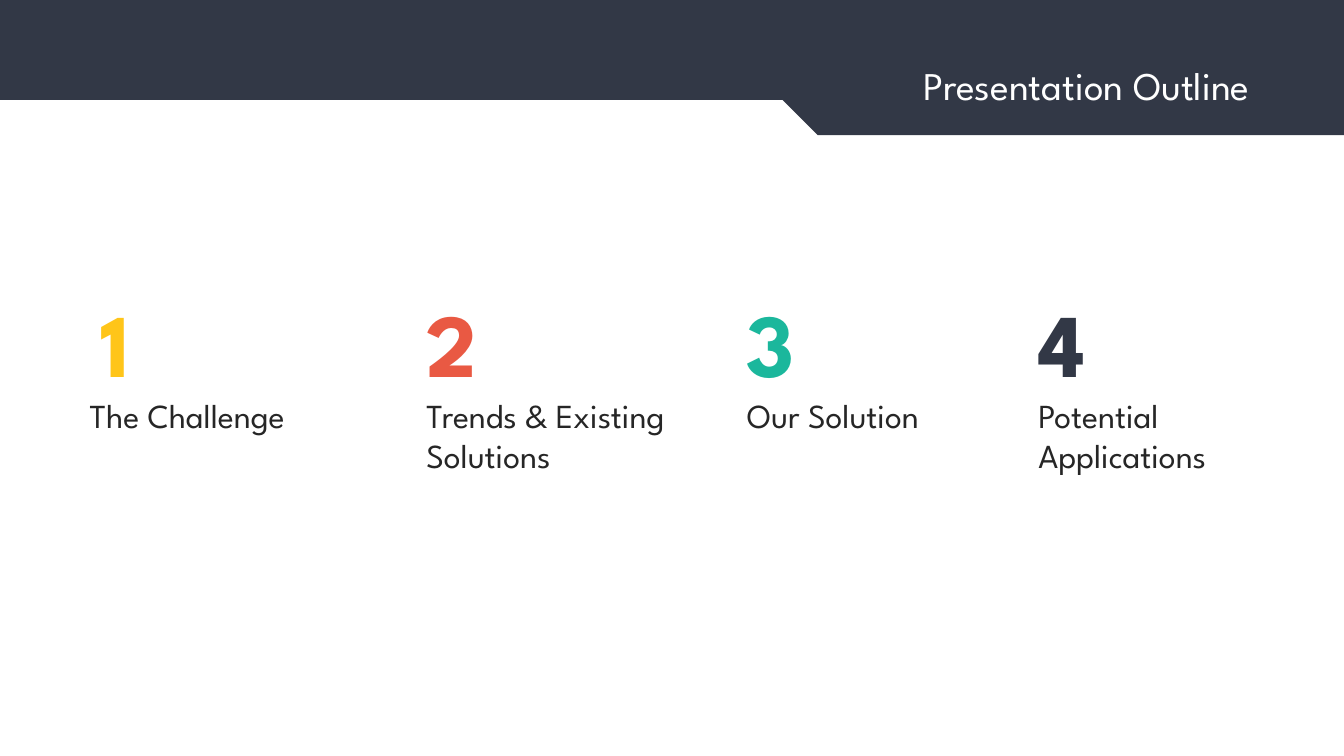
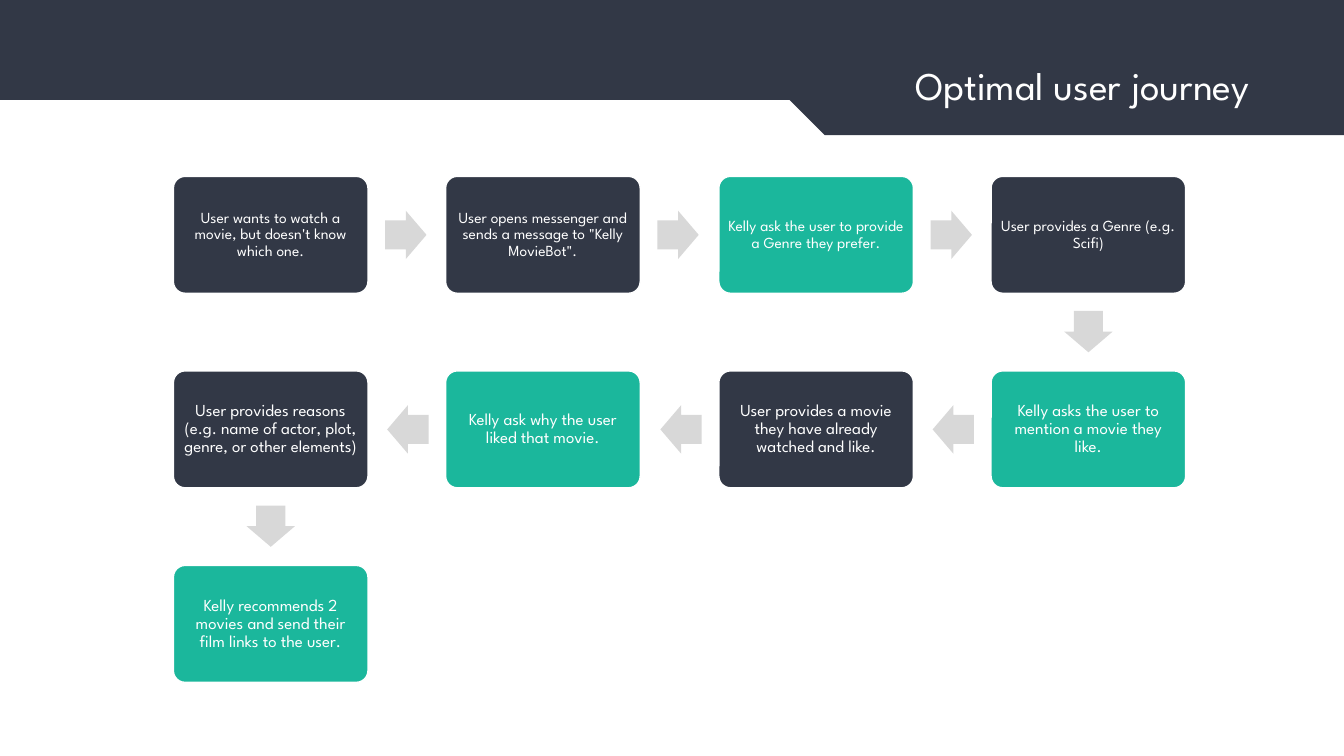
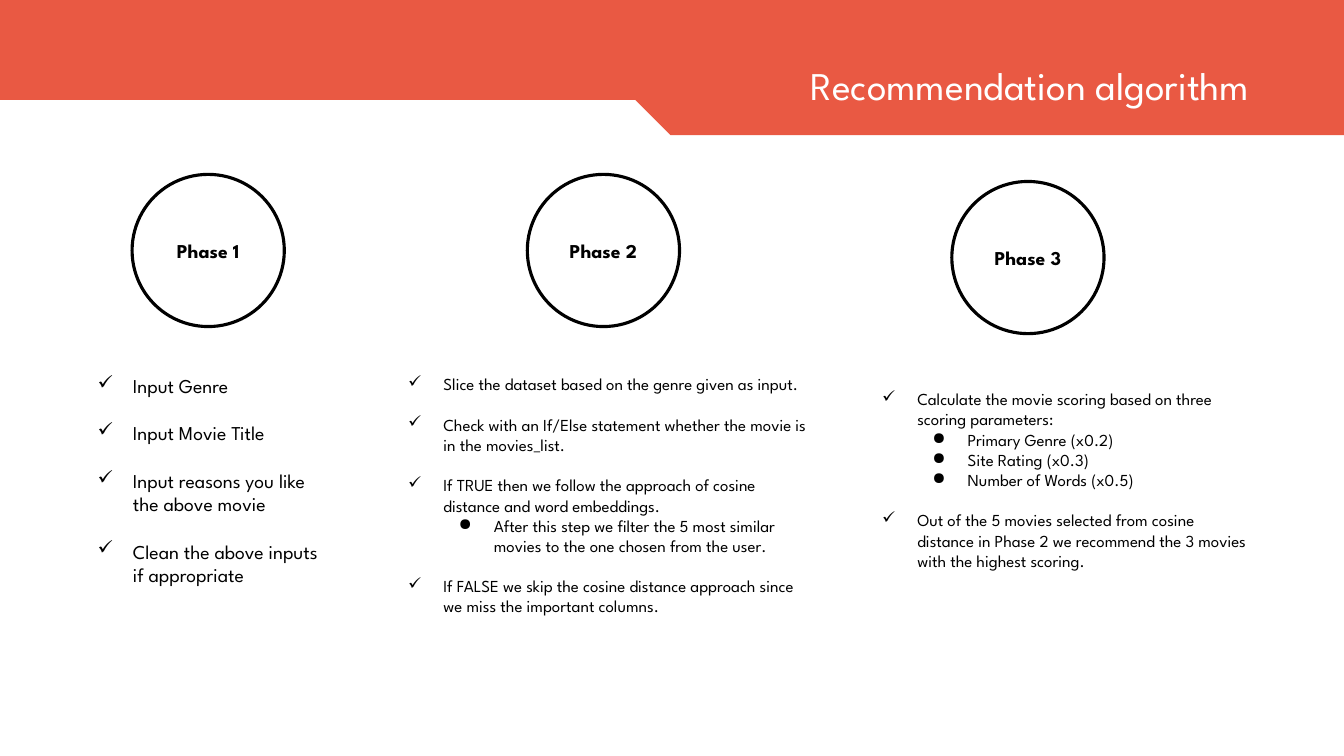
from dataclasses import dataclass

from lxml.etree import SubElement
from pptx import Presentation
from pptx.dml.color import RGBColor
from pptx.enum.shapes import MSO_SHAPE as Shape
from pptx.enum.text import MSO_ANCHOR as Anchor, PP_ALIGN as Align
from pptx.oxml.ns import qn
from pptx.util import Emu, Pt

PX = 9144


@dataclass(frozen=True)
class Theme:
    font: str = "League Spartan"
    navy: str = "323846"
    coral: str = "E95943"
    teal: str = "1BB79C"
    yellow: str = "FFC519"
    gray: str = "D8D8D8"
    ink: str = "262626"
    black: str = "000000"
    white: str = "FFFFFF"
    title: int = 28
    number: int = 64
    topic: int = 24
    phase: int = 14


THEME = Theme()
SLIDE_SIZE = (1333, 750)
BAND_HEIGHT = 99
TAB_TOP, TAB_HEIGHT = 40, 94
TITLE_TOP, TITLE_HEIGHT, TITLE_RIGHT = 56, 57, 1249

OUTLINE = {"title": "Presentation Outline", "title_left": 779, "tab": (717, 753), "color": THEME.navy}
JOURNEY = {"title": "Optimal user journey", "title_left": 779, "tab": (724, 707), "color": THEME.navy}
ALGORITHM = {"title": "Recommendation algorithm", "title_left": 481, "tab": (571, 897), "color": THEME.coral}

TOPICS = [
    ("The Challenge", THEME.yellow, 90, (79, 387, 315, 50)),
    ("Trends & Existing Solutions", THEME.coral, 413, (413, 387, 282, 91)),
    ("Our Solution", THEME.teal, 731, (731, 387, 232, 50)),
    ("Potential Applications", THEME.navy, 1020, (1020, 387, 282, 91)),
]

USER, BOT = THEME.navy, THEME.teal
STEPS = [
    (USER, "User wants to watch a movie, but doesn't know which one."),
    (USER, "User opens messenger and sends a message to \"Kelly MovieBot\"."),
    (BOT, "Kelly ask the user to provide a Genre they prefer."),
    (USER, "User provides a Genre (e.g. Scifi)"),
    (BOT, "Kelly asks the user to mention a movie they like."),
    (USER, "User provides a movie they have already watched and like."),
    (BOT, "Kelly ask why the user liked that movie."),
    (USER, "User provides reasons (e.g. name of actor, plot, genre, or other elements)"),
    (BOT, "Kelly recommends 2 movies and send their film links to the user."),
]
COLUMNS = 4
GRID_LEFT, GRID_TOP = 172, 175
COLUMN_STEP, ROW_STEP = 270.4, 193
STEP_SIZE = (193, 116)
ARROW_SIZE = (41, 48)
ARROWS = {"right": (0, 210, 34), "left": (180, -58, 34), "down": (90, 76, 130)}

CHECK, DOT = "✓", "●"
CIRCLE = 151
PHASES = [
    ("Phase 1", (131, 173), (72, 361, 268, 241), 14, 17, [
        (CHECK, "Input Genre"),
        (CHECK, "Input Movie Title"),
        (CHECK, "Input reasons you like the above movie"),
        (CHECK, "Clean the above inputs if appropriate"),
    ]),
    ("Phase 2", (523, 173), (380, 361, 436, 352), 12, 14.5, [
        (CHECK, "Slice the dataset based on the genre given as input."),
        (CHECK, "Check with an If/Else statement whether the movie is in the movies_list."),
        (CHECK, "If TRUE then we follow the approach of cosine distance and word embeddings."),
        (DOT, "After this step we filter the 5 most similar movies to the one chosen from the user."),
        (CHECK, "If FALSE we skip the cosine distance approach since we miss the important columns."),
    ]),
    ("Phase 3", (944, 180), (850, 376, 400, 287), 12, 14.5, [
        (CHECK, "Calculate the movie scoring based on three scoring parameters:"),
        (DOT, "Primary Genre (x0.2)"),
        (DOT, "Site Rating (x0.3)"),
        (DOT, "Number of Words (x0.5)"),
        (CHECK, "Out of the 5 movies selected from cosine distance in Phase 2 "
                "we recommend the 3 movies with the highest scoring."),
    ]),
]
INDENTS = {CHECK: 50, DOT: 100}
HANGING = 35


def emu(*lengths):
    return [Emu(round(length * PX)) for length in lengths]


def rgb(color):
    return RGBColor.from_string(color)


def add_preset(page, preset, place, fill, line=None, weight=1, adjustments=()):
    shape = page.shapes.add_shape(preset, *emu(*place))
    shape.shadow.inherit = False
    shape.fill.solid()
    shape.fill.fore_color.rgb = rgb(fill)
    if line:
        shape.line.color.rgb = rgb(line)
        shape.line.width = Pt(weight)
    else:
        shape.line.fill.background()
    for index, value in enumerate(adjustments):
        shape.adjustments[index] = value
    return shape


def set_frame(shape, inset_x, inset_y, anchor=Anchor.TOP):
    frame = shape.text_frame
    frame.word_wrap = True
    frame.vertical_anchor = anchor
    frame.margin_left, frame.margin_right = emu(inset_x, inset_x)
    frame.margin_top, frame.margin_bottom = emu(inset_y, inset_y)
    return frame


def style(para, size, color, bold=False, align=Align.LEFT):
    para.alignment = align
    para.font.name = THEME.font
    para.font.size = Pt(size)
    para.font.bold = bold
    para.font.color.rgb = rgb(color)


def write(frame, text, size, color, bold=False, align=Align.LEFT):
    para = frame.paragraphs[0]
    para.text = text
    style(para, size, color, bold, align)
    return para


def add_text(page, place, text, size, color, bold=False, align=Align.LEFT):
    box = page.shapes.add_textbox(*emu(*place))
    write(set_frame(box, 10, 5), text, size, color, bold, align)


def add_bullet(para, mark):
    margin, hanging = emu(INDENTS[mark], -HANGING)
    properties = para._p.get_or_add_pPr()
    properties.set("marL", str(margin))
    properties.set("indent", str(hanging))
    properties.set("lvl", "1" if mark == DOT else "0")
    color = SubElement(properties, qn("a:buClr"))
    SubElement(color, qn("a:srgbClr"), val=THEME.black)
    SubElement(properties, qn("a:buChar"), char=mark)


def add_page(deck, header):
    page = deck.slides.add_slide(deck.slide_layouts[6])
    add_preset(page, Shape.RECTANGLE, (0, 0, SLIDE_SIZE[0], BAND_HEIGHT), header["color"])
    left, width = header["tab"]
    tab = add_preset(page, Shape.PARALLELOGRAM, (left, TAB_TOP, width, TAB_HEIGHT),
                     header["color"], adjustments=(1,))
    tab.rotation = 180
    tab.element.spPr.xfrm.set("flipH", "1")
    title_left = header["title_left"]
    add_text(page, (title_left, TITLE_TOP, TITLE_RIGHT - title_left, TITLE_HEIGHT),
             header["title"], THEME.title, THEME.white, align=Align.RIGHT)
    return page


def build_outline(deck):
    page = add_page(deck, OUTLINE)
    for number, (topic, color, number_left, place) in enumerate(TOPICS, 1):
        add_text(page, place, topic, THEME.topic, THEME.ink)
        add_text(page, (number_left, 281, 67, 118), str(number), THEME.number, color, bold=True)


def build_journey(deck):
    page = add_page(deck, JOURNEY)
    for index, (color, text) in enumerate(STEPS):
        row, column = divmod(index, COLUMNS)
        row_ends = column == COLUMNS - 1
        backward = row % 2 == 1
        if backward:
            column = COLUMNS - 1 - column
        left = GRID_LEFT + round(COLUMN_STEP * column)
        top = GRID_TOP + ROW_STEP * row
        step = add_preset(page, Shape.ROUNDED_RECTANGLE, (left, top, *STEP_SIZE), color,
                          THEME.white, adjustments=(0.1,))
        para = write(set_frame(step, 5, 5, Anchor.MIDDLE), text, 12 if row else 11,
                     THEME.white, align=Align.CENTER)
        para.line_spacing = 0.9
        if index < len(STEPS) - 1:
            direction = "down" if row_ends else "left" if backward else "right"
            angle, shift_x, shift_y = ARROWS[direction]
            arrow = add_preset(page, Shape.RIGHT_ARROW, (left + shift_x, top + shift_y, *ARROW_SIZE),
                               THEME.gray, adjustments=(0.6, 0.5))
            arrow.rotation = angle


def build_algorithm(deck):
    page = add_page(deck, ALGORITHM)
    for name, corner, place, size, gap, items in PHASES:
        circle = add_preset(page, Shape.OVAL, (*corner, CIRCLE, CIRCLE), THEME.white, THEME.black, 2.25)
        write(set_frame(circle, 10, 10, Anchor.MIDDLE), name, THEME.phase, THEME.black,
              bold=True, align=Align.CENTER)
        frame = set_frame(page.shapes.add_textbox(*emu(*place)), 10, 10)
        for index, (mark, text) in enumerate(items):
            para = frame.add_paragraph() if index else frame.paragraphs[0]
            para.text = text
            add_bullet(para, mark)
            style(para, size, THEME.black)
            if index and mark == CHECK:
                para.space_before = Pt(gap)


def main():
    deck = Presentation()
    deck.slide_width, deck.slide_height = emu(*SLIDE_SIZE)
    build_outline(deck)
    build_journey(deck)
    build_algorithm(deck)
    deck.save("out.pptx")


if __name__ == "__main__":
    main()
